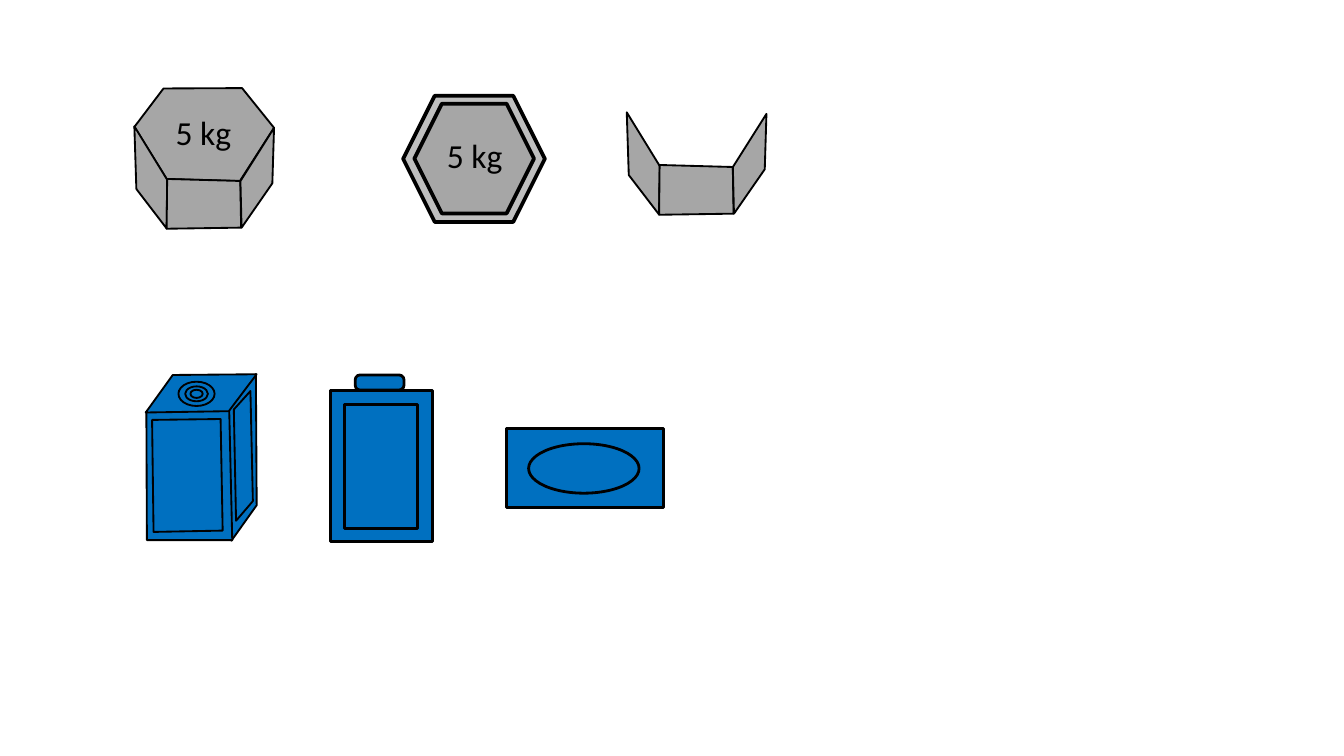
import pptx
import pptx.dml.color
import pptx.enum.shapes
import pptx.enum.text
import pptx.util

Pt = pptx.util.Pt
SHAPE = pptx.enum.shapes.MSO_SHAPE

BLACK = "000000"
STEEL = "A6A6A6"
LIGHT_STEEL = "BFBFBF"
BLUE = "0070C0"


def color(hex_string):
    return pptx.dml.color.RGBColor.from_string(hex_string)


class Drawing:
    font = "Calibri"
    label_size = 18

    def __init__(self, slide):
        self.slide = slide
        self.shapes = slide.shapes

    def start_group(self):
        self.shapes = self.slide.shapes.add_group_shape().shapes

    def paint(self, shape, fill, line_width):
        shape.shadow.inherit = False
        if fill:
            shape.fill.solid()
            shape.fill.fore_color.rgb = color(fill)
        else:
            shape.fill.background()
        shape.line.color.rgb = color(BLACK)
        shape.line.width = Pt(line_width)

    def panel(self, points, fill=None, dx=0, dy=0):
        corners = [(Pt(x + dx), Pt(y + dy)) for x, y in points]
        builder = self.shapes.build_freeform(*corners[0], scale=1.0)
        builder.add_line_segments(corners[1:], close=True)
        self.paint(builder.convert_to_shape(), fill, 1)

    def preset(self, kind, left, top, width, height, fill=None, line_width=1.5,
               rounding=None):
        shape = self.shapes.add_shape(kind, Pt(left), Pt(top), Pt(width), Pt(height))
        if rounding is not None:
            shape.adjustments[0] = rounding
        self.paint(shape, fill, line_width)

    def label(self, text, left, top):
        box = self.shapes.add_textbox(Pt(left), Pt(top), Pt(44.6), Pt(29))
        frame = box.text_frame
        frame.text = text
        frame.word_wrap = False
        frame.auto_size = pptx.enum.text.MSO_AUTO_SIZE.SHAPE_TO_FIT_TEXT
        font = frame.paragraphs[0].runs[0].font
        font.name = self.font
        font.size = Pt(self.label_size)
        font.color.rgb = color(BLACK)


# Visible sides of the hexagonal weight: left, front, right
WEIGHT_SIDES = [
    [(72, 67.7), (73.1, 101.3), (89.3, 122.4), (89.7, 96.5)],
    [(89.6, 95.9), (89.3, 122.6), (129.2, 122), (128.8, 97)],
    [(128.8, 97), (129.4, 122), (145.9, 98.2), (146.8, 68.5)],
]
WEIGHT_TOP = [(87.6, 47.4), (129.7, 47.2), (146.8, 68.5), (128.5, 97), (89.3, 95.9),
              (72, 68)]


def draw_weight_sides(drawing, dx=0, dy=0):
    for side in WEIGHT_SIDES:
        drawing.panel(side, STEEL, dx, dy)


def draw_weights(drawing):
    # Weight in perspective
    drawing.start_group()
    drawing.panel(WEIGHT_TOP, STEEL)
    draw_weight_sides(drawing)
    drawing.label("5 kg", 87, 56.3)

    # Weight from above
    drawing.start_group()
    drawing.preset(SHAPE.HEXAGON, 216, 51.3, 75.9, 67.6, LIGHT_STEEL, 2)
    drawing.preset(SHAPE.HEXAGON, 222, 55.6, 64.1, 58.8, STEEL, 2)
    drawing.label("5 kg", 232.3, 68.7)

    # Sides of the weight alone
    drawing.start_group()
    draw_weight_sides(drawing, 263.8, -7.5)


def draw_canisters(drawing):
    # Canister in perspective: side, front, their insets, then the top
    drawing.start_group()
    drawing.panel([(122, 219.8), (137.1, 200.4), (137.5, 270.7), (124, 289.7)], BLUE)
    drawing.panel([(78.4, 220.4), (122.8, 219.8), (124.4, 289.4), (78.7, 289.4)], BLUE)
    drawing.panel([(125.3, 219.4), (134.2, 209.5), (135.5, 268.5), (126.5, 279)])
    drawing.panel([(81.5, 225), (118.2, 224.5), (119.3, 284.3), (82.3, 285)])
    drawing.panel([(92.6, 200.9), (137.5, 200.5), (122.6, 220.3), (78.1, 221)], BLUE)

    # Cap rings around one centre
    for width, height in [(19.4, 13), (12.2, 8), (6.6, 4.4)]:
        drawing.preset(SHAPE.OVAL, 105.3 - width / 2, 211 - height / 2, width, height,
                       BLUE, 1)

    # Canister from the front
    drawing.start_group()
    drawing.preset(SHAPE.ROUNDED_RECTANGLE, 177, 209, 54.5, 81.2, BLUE, rounding=0)
    drawing.preset(SHAPE.RECTANGLE, 184.4, 216.7, 39.5, 66.4)
    drawing.preset(SHAPE.ROUNDED_RECTANGLE, 190.3, 200.9, 26.2, 8.1, BLUE, rounding=0.33)

    # Canister from above
    drawing.start_group()
    drawing.preset(SHAPE.ROUNDED_RECTANGLE, 271.3, 229.8, 84, 42, BLUE, rounding=0)
    drawing.preset(SHAPE.OVAL, 283.2, 237.7, 59.2, 26.5)


def main():
    presentation = pptx.Presentation()
    presentation.slide_width = Pt(720)
    presentation.slide_height = Pt(405)
    blank_layout = presentation.slide_layouts[6]
    drawing = Drawing(presentation.slides.add_slide(blank_layout))
    draw_weights(drawing)
    draw_canisters(drawing)
    presentation.save("out.pptx")


if __name__ == "__main__":
    main()
